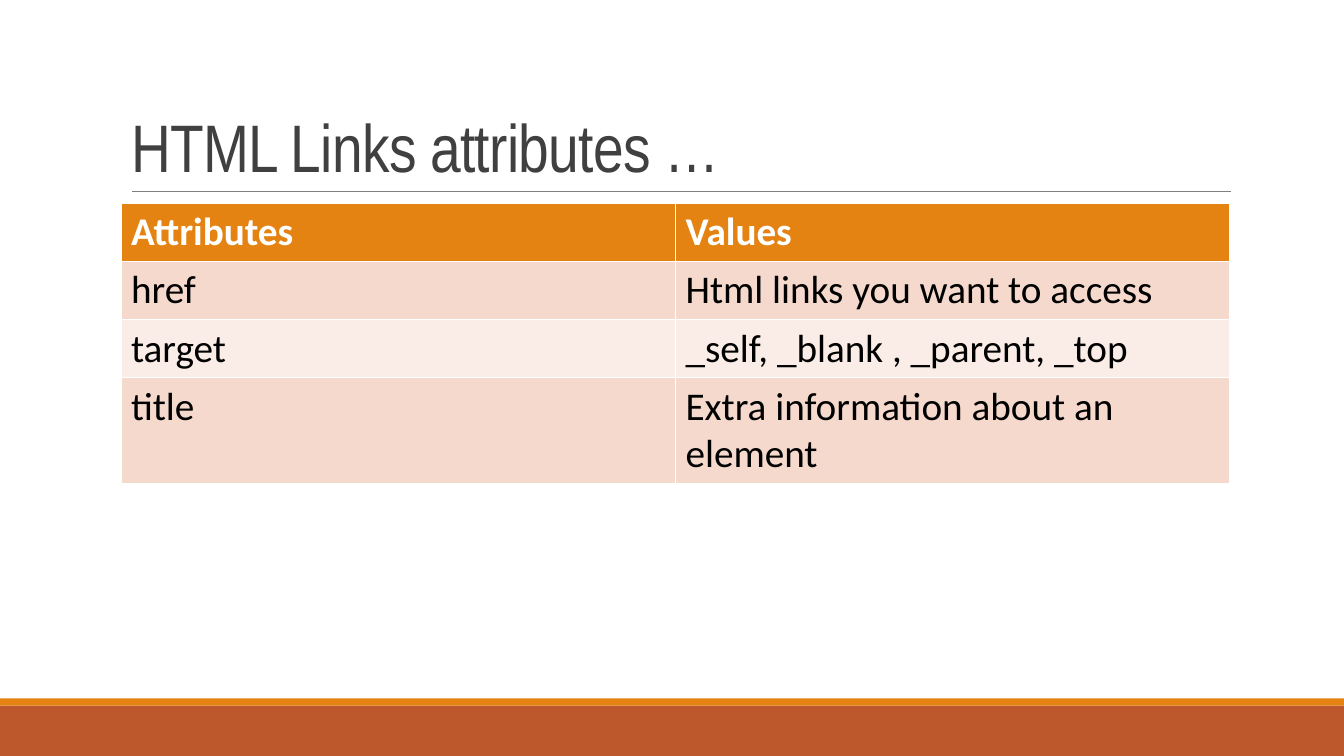
from pptx import Presentation
from pptx.dml.color import RGBColor
from pptx.enum.shapes import MSO_CONNECTOR, MSO_SHAPE
from pptx.enum.text import MSO_ANCHOR, MSO_AUTO_SIZE, PP_ALIGN
from pptx.oxml.ns import qn
from pptx.util import Inches, Pt
from lxml import etree

LINE, RECT = MSO_CONNECTOR.STRAIGHT, MSO_SHAPE.RECTANGLE
BOTTOM, LEFT, NO_FIT = MSO_ANCHOR.BOTTOM, PP_ALIGN.LEFT, MSO_AUTO_SIZE.NONE
COLORS = {"rust": "BD582C", "orange": "E48312", "rule": "808080", "title": "404040",
          "white": "FFFFFF", "black": "000000", "band1": "F5D9CC", "band2": "FAEDE7"}
WIDTH, HEIGHT = 13.33, 7.5
MARGIN, CONTENT_W, ROW_H = 1.2, 11, 0.41
ROWS = [("Attributes", "Values"),
        ("href", "Html links you want to access"),
        ("target", "_self, _blank , _parent, _top"),
        ("title", "Extra information about an element")]


def rgb(name):
    return RGBColor.from_string(COLORS[name])


def format_run(r, color, **values):
    for name, value in values.items():
        setattr(r.font, name, value)
    r.font.color.rgb = rgb(color)


prs = Presentation()
prs.slide_width, prs.slide_height = Inches(WIDTH), Inches(HEIGHT)
s = prs.slides.add_slide(prs.slide_layouts[5])

for color, top, height in (("rust", 7, 0.5), ("orange", 6.93, 0.07)):
    sp = s.shapes.add_shape(RECT, 0, Inches(top), prs.slide_width, Inches(height))
    sp.shadow.inherit = False
    sp.fill.solid()
    sp.fill.fore_color.rgb = rgb(color)
    sp.line.fill.background()

rule = s.shapes.add_connector(LINE, Inches(1.31), Inches(1.9), Inches(12.21), Inches(1.9))
rule.line.color.rgb = rgb("rule")
rule.line.width = Pt(0.5)
etree.SubElement(rule.element.spPr, qn("a:effectLst"))

title = s.shapes.title
title.left, title.top = Inches(MARGIN), Inches(0.31)
title.width, title.height = Inches(CONTENT_W), Inches(1.59)
tf = title.text_frame
tf.word_wrap, tf.auto_size, tf.vertical_anchor = True, NO_FIT, BOTTOM
p = tf.paragraphs[0]
p.alignment, p.line_spacing = LEFT, 0.85
r = p.add_run()
r.text = "HTML Links attributes …"
format_run(r, "title", name="Arial Narrow", size=Pt(48))
r.font._element.set("spc", "-50")

table = s.shapes.add_table(len(ROWS), 2, Inches(MARGIN), Inches(2.02),
                           Inches(CONTENT_W), Inches(ROW_H * len(ROWS))).table
for i, row in enumerate(ROWS):
    fill = "orange" if i == 0 else "band1" if i % 2 else "band2"
    for j, text in enumerate(row):
        cell = table.cell(i, j)
        cell.fill.solid()
        cell.fill.fore_color.rgb = rgb(fill)
        r = cell.text_frame.paragraphs[0].add_run()
        r.text = text
        format_run(r, "black" if i else "white", name="Calibri", size=Pt(28), bold=i == 0)

prs.save("out.pptx")
